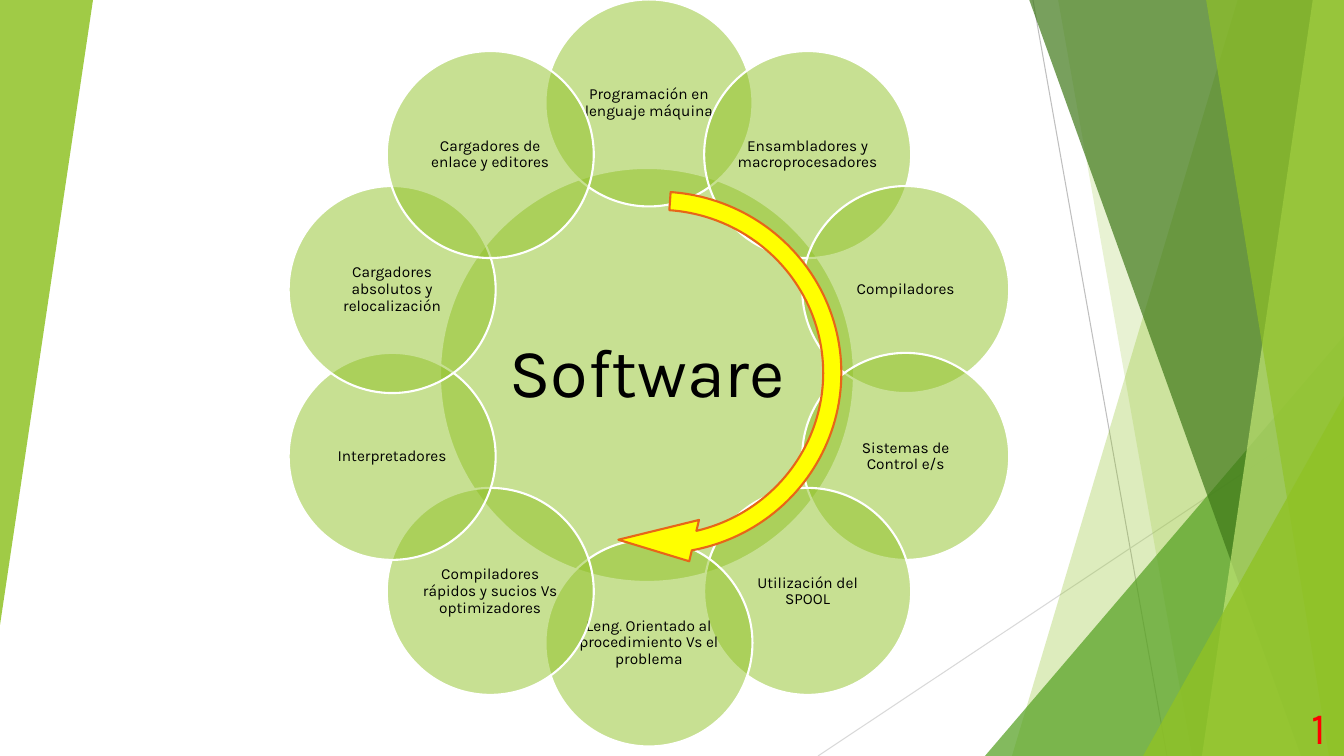
import math
from dataclasses import dataclass

import lxml.etree
import pptx
import pptx.dml.color
import pptx.enum.shapes
import pptx.enum.text
import pptx.oxml.ns
import pptx.shapes.autoshape
import pptx.shapes.shapetree
import pptx.text.text
import pptx.util

RGBColor = pptx.dml.color.RGBColor
MSO_SHAPE = pptx.enum.shapes.MSO_SHAPE
PP_ALIGN = pptx.enum.text.PP_ALIGN
qn = pptx.oxml.ns.qn
Autoshape = pptx.shapes.autoshape.Shape
Shapes = pptx.shapes.shapetree.SlideShapes

EMU_PER_PX = 914400 / 100.8
SLIDE_WIDTH, SLIDE_HEIGHT = 1344, 756
FONT = "Karla"

LIME = RGBColor(0x90, 0xC2, 0x26)
GREEN = RGBColor(0x54, 0xA0, 0x21)
DARK_GREEN = RGBColor(0x3F, 0x78, 0x19)
PALE_LIME = RGBColor(0xC0, 0xE4, 0x74)
GREY = RGBColor(0xBF, 0xBF, 0xBF)
LIGHT_GREY = RGBColor(0xD9, 0xD9, 0xD9)
WHITE = RGBColor(0xFF, 0xFF, 0xFF)
BLACK = RGBColor(0x00, 0x00, 0x00)
RED = RGBColor(0xFF, 0x00, 0x00)
YELLOW = RGBColor(0xFF, 0xFF, 0x00)
ORANGE = RGBColor(0xE7, 0x66, 0x18)


@dataclass(frozen=True)
class Ray:
    start: tuple[int, int]
    end: tuple[int, int]
    color: RGBColor


@dataclass(frozen=True)
class Band:
    """Full-height facet between a slanted left edge and the slide's right edge."""
    top_x: int
    bottom_x: int
    color: RGBColor
    opacity: int


@dataclass(frozen=True)
class Corner:
    """Right-angled triangle facet."""
    left: int
    top: int
    width: int
    height: int
    color: RGBColor
    opacity: int
    rotation: int = 0


@dataclass(frozen=True)
class Disc:
    text: str
    center_x: float
    center_y: float
    diameter: int
    font_size: int
    inset: int


RAYS = [
    Ray((1033, 0), (1167, 756), GREY),
    Ray((1344, 406), (818, 756), LIGHT_GREY),
]
FACETS = [
    Band(1238, 1012, LIME, 30),
    Band(1058, 1192, LIME, 20),
    Corner(985, 336, 359, 420, GREEN, 72),
    Band(1029, 1301, DARK_GREEN, 70),
    Band(1313, 1202, PALE_LIME, 70),
    Band(1206, 1329, LIME, 65),
    Corner(1143, 396, 201, 360, LIME, 80),
    Corner(0, 0, 93, 625, LIME, 85, rotation=180),
]
HUB = Disc("Software", 647, 375, 414, 49, 7)
TOPICS = [
    "Programación en lenguaje máquina",
    "Ensambladores y macroprocesadores",
    "Compiladores",
    "Sistemas de Control e/s",
    "Utilización del SPOOL",
    "Leng. Orientado al procedimiento Vs el problema",
    "Compiladores rápidos y sucios Vs optimizadores",
    "Interpretadores",
    "Cargadores absolutos y relocalización",
    "Cargadores de enlace y editores",
]
RING_X, RING_Y, RING_RADIUS = 649, 373, 270
ARROW_ADJUSTMENTS = (0.047, 15.273, 206.33, 108, 0.055)


def px(length: float) -> pptx.util.Emu:
    return pptx.util.Emu(round(length * EMU_PER_PX))


def paint(shape: Autoshape, color: RGBColor, opacity: int = 100,
          outline: RGBColor | None = None) -> None:
    shape.shadow.inherit = False
    shape.fill.solid()
    shape.fill.fore_color.rgb = color
    if opacity < 100:
        fill_color = shape._element.spPr.find(qn("a:solidFill"))[0]
        lxml.etree.SubElement(fill_color, qn("a:alpha"), val=str(opacity * 1000))
    if outline is None:
        shape.line.fill.background()
    else:
        shape.line.color.rgb = outline
        shape.line.width = pptx.util.Pt(1.5)


def write(frame: pptx.text.text.TextFrame, text: str, size: int,
          color: RGBColor, alignment: PP_ALIGN) -> None:
    frame.word_wrap = True
    frame.vertical_anchor = pptx.enum.text.MSO_ANCHOR.MIDDLE
    paragraph = frame.paragraphs[0]
    paragraph.text = text
    paragraph.alignment = alignment
    paragraph.font.name = FONT
    paragraph.font.size = pptx.util.Pt(size)
    paragraph.font.color.rgb = color


def draw_ray(shapes: Shapes, ray: Ray) -> None:
    line = shapes.add_connector(pptx.enum.shapes.MSO_CONNECTOR.STRAIGHT,
                                *map(px, ray.start + ray.end))
    line.line.color.rgb = ray.color
    line.line.width = pptx.util.Pt(0.75)
    lxml.etree.SubElement(line._element.spPr, qn("a:effectLst"))


def draw_facet(shapes: Shapes, facet: Band | Corner) -> None:
    if isinstance(facet, Band):
        outline = shapes.build_freeform(facet.top_x, -1, scale=EMU_PER_PX)
        outline.add_line_segments([
            (SLIDE_WIDTH, -1), (SLIDE_WIDTH, SLIDE_HEIGHT), (facet.bottom_x, SLIDE_HEIGHT),
        ])
        shape = outline.convert_to_shape()
    else:
        shape = shapes.add_shape(MSO_SHAPE.ISOSCELES_TRIANGLE, px(facet.left), px(facet.top),
                                 px(facet.width), px(facet.height))
        shape.adjustments[0] = 1
        shape.rotation = facet.rotation
    paint(shape, facet.color, facet.opacity)


def draw_disc(shapes: Shapes, disc: Disc) -> None:
    radius = disc.diameter / 2
    circle = shapes.add_shape(MSO_SHAPE.OVAL, px(disc.center_x - radius),
                              px(disc.center_y - radius), px(disc.diameter), px(disc.diameter))
    paint(circle, LIME, 50, WHITE)
    frame = circle.text_frame
    frame.margin_left = frame.margin_right = px(disc.inset)
    frame.margin_top = frame.margin_bottom = px(disc.inset)
    write(frame, disc.text, disc.font_size, BLACK, PP_ALIGN.CENTER)
    frame.paragraphs[0].line_spacing = 0.9


def draw_ring(shapes: Shapes) -> None:
    """Place the topics clockwise around the hub, starting at the top."""
    for index, topic in enumerate(TOPICS):
        angle = math.tau * index / len(TOPICS)
        draw_disc(shapes, Disc(topic, RING_X + RING_RADIUS * math.sin(angle),
                               RING_Y - RING_RADIUS * math.cos(angle), 207, 11, 2))


def draw_arrow(shapes: Shapes) -> None:
    arrow = shapes.add_shape(MSO_SHAPE.CIRCULAR_ARROW, px(465), px(177), px(386), px(391))
    for index, value in enumerate(ARROW_ADJUSTMENTS):
        arrow.adjustments[index] = value
    arrow.rotation = 94
    paint(arrow, YELLOW, outline=ORANGE)


def main() -> None:
    presentation = pptx.Presentation()
    presentation.slide_width = px(SLIDE_WIDTH)
    presentation.slide_height = px(SLIDE_HEIGHT)
    shapes = presentation.slides.add_slide(presentation.slide_layouts[6]).shapes

    for ray in RAYS:
        draw_ray(shapes, ray)
    for facet in FACETS:
        draw_facet(shapes, facet)
    page_number = shapes.add_textbox(px(1260), px(707), px(76), px(40))
    write(page_number.text_frame, "1", 32, RED, PP_ALIGN.RIGHT)
    draw_disc(shapes, HUB)
    draw_ring(shapes)
    draw_arrow(shapes)

    presentation.save("out.pptx")


if __name__ == "__main__":
    main()
